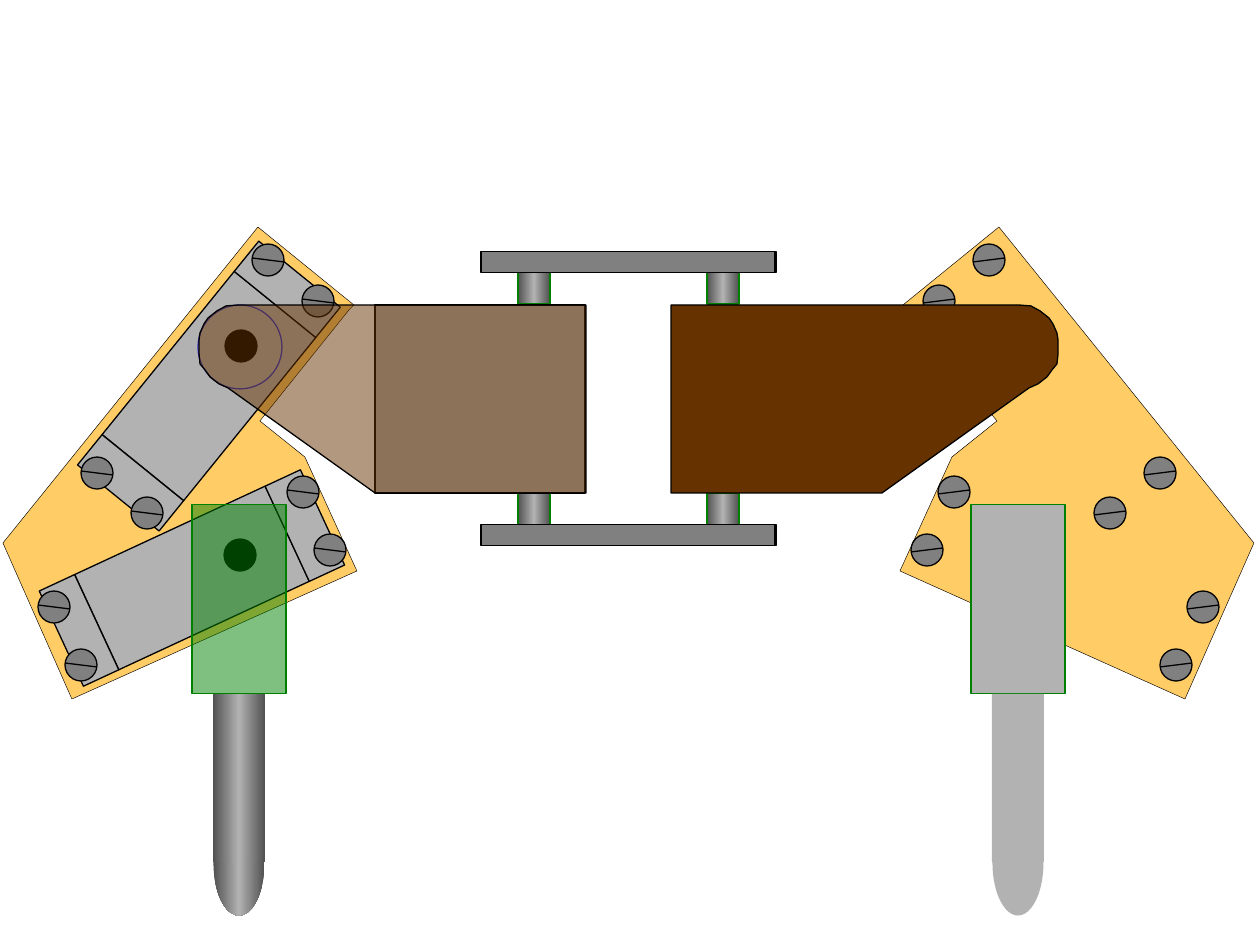
import copy
import dataclasses
import math

import pptx
import pptx.dml.color
import pptx.enum.shapes
import pptx.oxml
import pptx.oxml.ns
import pptx.util

PX = 914400 / 126
SLIDE_W, SLIDE_H = 1260, 945
MIRROR_SPAN = 1257  # a left x and its mirrored right x add up to this

COLORS = {
    "frame": "FFCC66", "steel": "B2B2B2", "steel_edge": "525252",
    "screw": "808080", "arm": "663300", "foot": "008000",
    "ring": "3333CC", "black": "000000",
}
SHAPES = pptx.enum.shapes.MSO_SHAPE
RECT, OVAL = SHAPES.RECTANGLE, SHAPES.OVAL


def emu(px):
    return round(px * PX)


def rgb(name):
    return pptx.dml.color.RGBColor.from_string(COLORS[name])


@dataclasses.dataclass
class Box:
    """A region, given by its left-hand place and mirrored on request."""
    left: int
    top: int
    width: int
    height: int
    mirrored: bool = False

    def point(self, x, y):
        x += self.left
        return (MIRROR_SPAN - x if self.mirrored else x), self.top + y


# Formatting
def fill_cylinder(shape):
    shape.fill.gradient()
    shape.fill.gradient_angle = 0
    stop_list = shape._element.spPr.find(".//" + pptx.oxml.ns.qn("a:gsLst"))
    stop_list.insert(1, copy.deepcopy(stop_list[0]))
    for stop, position, color in zip(shape.fill.gradient_stops, (0, 0.5, 1),
                                     ("steel_edge", "steel", "steel_edge")):
        stop.position = position
        stop.color.rgb = rgb(color)


def fill_solid(shape, color, alpha):
    shape.fill.solid()
    shape.fill.fore_color.rgb = rgb(color)
    if alpha < 100:
        color_element = shape._element.spPr.find(".//" + pptx.oxml.ns.qn("a:srgbClr"))
        pptx.oxml.parse_xml(
            f'<a:solidFill {pptx.oxml.ns.nsdecls("a")}/>')
        alpha_element = color_element.makeelement(
            pptx.oxml.ns.qn("a:alpha"), {"val": str(alpha * 1000)})
        color_element.append(alpha_element)


def paint(shape, fill=None, line="black", width=0.75, alpha=100, rotation=0):
    shape.shadow.inherit = False
    if fill == "cylinder":
        fill_cylinder(shape)
    elif fill:
        fill_solid(shape, fill, alpha)
    else:
        shape.fill.background()
    if line:
        shape.line.color.rgb = rgb(line)
        shape.line.width = pptx.util.Pt(width)
    else:
        shape.line.fill.background()
    if rotation:
        shape.rotation = rotation


# Parts placed inside a box
def add_part(slide, box, kind, center, size, **formats):
    x, y = box.point(*center)
    w, h = size
    part = slide.shapes.add_shape(kind, emu(x - w / 2), emu(y - h / 2), emu(w), emu(h))
    if box.mirrored and "rotation" in formats:
        formats["rotation"] = -formats["rotation"]
    paint(part, **formats)


def add_outline(slide, box, points, **formats):
    start, *rest = [box.point(*point) for point in points]
    builder = slide.shapes.build_freeform(*start, scale=PX)
    builder.add_line_segments(rest, close=True)
    paint(builder.convert_to_shape(), **formats)


def add_screw(slide, box, center):
    add_part(slide, box, OVAL, center, (32, 32), fill="screw")
    x, y = center
    ends = box.point(x - 16, y - 2) + box.point(x + 16, y + 2)
    slot = slide.shapes.add_connector(
        pptx.enum.shapes.MSO_CONNECTOR.STRAIGHT, *map(emu, ends))
    slot.line.color.rgb = rgb("black")
    slot.line.width = pptx.util.Pt(0.75)
    slot._element.spPr.append(pptx.oxml.parse_xml(
        f'<a:effectLst {pptx.oxml.ns.nsdecls("a")}/>'))


def add_bracket(slide, box, center, angle):
    """A tilted bar with a cap touching each end."""
    bar_length, cap_length, depth = 210, 39, 105
    add_part(slide, box, RECT, center, (bar_length, depth), fill="steel", rotation=angle)
    reach = (bar_length + cap_length) / 2
    for end in (1, -1):
        cap = (center[0] + end * reach * math.cos(math.radians(angle)),
               center[1] + end * reach * math.sin(math.radians(angle)))
        add_part(slide, box, RECT, cap, (cap_length, depth), fill="steel", rotation=angle)


# Regions
def draw_linkage(slide, box, open_view):
    add_outline(slide, box, [(351, 78), (255, 0), (0, 316), (69, 472), (354, 344),
                             (302, 230), (257, 194), (346, 83)],
                fill="frame", width=0.25)
    if open_view:
        for center, angle, pivot in (((206, 159), -51, (238, 119)),
                                     ((189, 351), -24.9, (237, 328))):
            add_bracket(slide, box, center, angle)
            add_part(slide, box, OVAL, pivot, (32, 32), fill="black")
        add_part(slide, box, OVAL, (237, 120), (84, 84), line="ring")
    for center in ((315, 74), (265, 33), (94, 246), (144, 286),
                   (51, 380), (78, 438), (327, 323), (300, 265)):
        add_screw(slide, box, center)


def draw_arm(slide, box, alpha):
    if alpha < 100:  # the block inside shows through
        add_part(slide, box, RECT, (281, 94), (210, box.height), fill="steel")
    add_outline(slide, box, [(387, 0), (40, 0), (27, 1), (18, 6), (9, 13), (5, 19),
                             (1, 28), (0, 35), (0, 49), (1, 59), (6, 65), (11, 72),
                             (20, 79), (29, 83), (176, 188), (387, 188)],
                fill="arm", alpha=alpha)


def draw_foot(slide, box, plate, alpha, stem):
    middle = box.width / 2
    add_part(slide, box, RECT, (middle, 94), (box.width, 189),
             fill=plate, alpha=alpha, line="foot")
    add_part(slide, box, OVAL, (middle, box.height - 52), (51, 105), fill=stem, line=None)
    add_part(slide, box, RECT, (middle, 273), (52, 168), fill=stem, line=None)


def draw_rails(slide, box):
    for roller_y in (36, box.height - 37):
        add_part(slide, box, RECT, (53, roller_y), (32, 32), fill="cylinder", line="foot")
    for rail_y in (10, box.height - 11):
        add_part(slide, box, RECT, (box.width / 2, rail_y), (box.width, 21), fill="screw")


def draw_side(slide, mirrored, open_view, arm_alpha, foot):
    draw_rails(slide, Box(481, 252, 294, 294, mirrored))
    draw_linkage(slide, Box(3, 227, 354, 472, mirrored), open_view)
    draw_foot(slide, Box(192, 505, 94, 410, mirrored), **foot)
    draw_arm(slide, Box(199, 305, 387, 188, mirrored), arm_alpha)


def main():
    deck = pptx.Presentation()
    deck.slide_width, deck.slide_height = emu(SLIDE_W), emu(SLIDE_H)
    slide = deck.slides.add_slide(deck.slide_layouts[6])
    # Closed side on the right, see-through side on the left
    draw_side(slide, mirrored=True, open_view=False, arm_alpha=100,
              foot={"plate": "steel", "alpha": 100, "stem": "steel"})
    draw_side(slide, mirrored=False, open_view=True, arm_alpha=50,
              foot={"plate": "foot", "alpha": 50, "stem": "cylinder"})
    deck.save("out.pptx")


if __name__ == "__main__":
    main()
